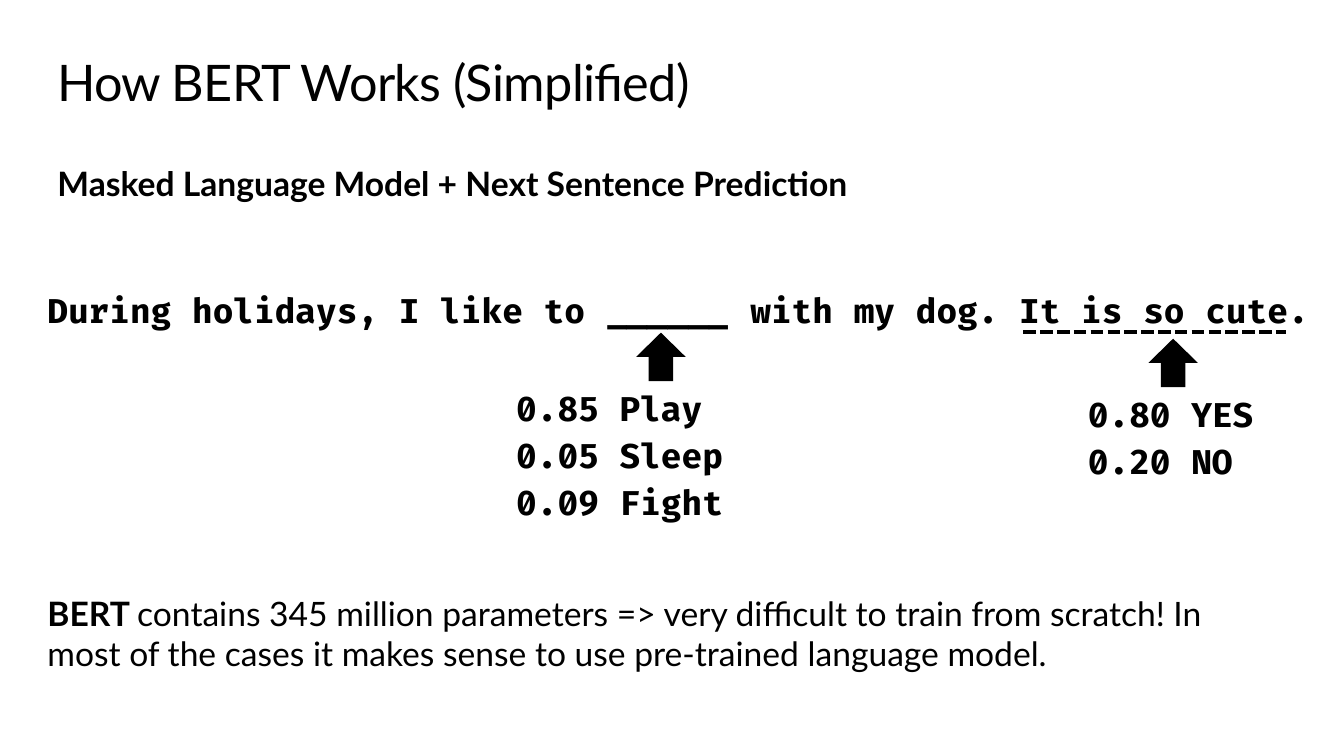
from lxml.etree import SubElement
from pptx import Presentation
from pptx.dml.color import RGBColor
from pptx.enum.dml import MSO_LINE
from pptx.enum.shapes import MSO_CONNECTOR, MSO_SHAPE
from pptx.enum.text import MSO_AUTO_SIZE
from pptx.oxml.ns import qn
from pptx.util import Inches, Pt

WIDTH, HEIGHT = 13.33, 7.5
MARGIN = 0.47
BLACK = "000000"
PROSE, CODE = "Lato", "Fira Code"
BODY_SIZE = 24
ARROW_WIDTH, ARROW_HEIGHT = 0.49, 0.48
ARROW_TO_SCORES = 0.55
SCORE_WIDTH, SCORE_PITCH = 2.39, 0.46


def color(hex_code):
    return RGBColor.from_string(hex_code)


def add_text(slide, left, top, width, height, lines, font=PROSE, size=BODY_SIZE,
             inset=(0, 0), tracking=0):
    """Each line is a list of (words, bold) runs; inset is (left, top)."""
    frame = slide.shapes.add_textbox(
        Inches(left), Inches(top), Inches(width), Inches(height)).text_frame
    frame.word_wrap = True
    frame.auto_size = MSO_AUTO_SIZE.NONE
    frame.margin_left, frame.margin_top = map(Inches, inset)
    frame.margin_right = frame.margin_bottom = 0
    for index, runs in enumerate(lines):
        paragraph = frame.add_paragraph() if index else frame.paragraphs[0]
        paragraph.space_before = Pt(0.2 * size if index else 0)
        for words, bold in runs:
            run = paragraph.add_run()
            run.text = words
            run.font.name = font
            run.font.size = Pt(size)
            run.font.bold = bold
            run.font.color.rgb = color(BLACK)
            if tracking:
                run.font._element.set("spc", str(int(tracking * 100)))


def add_dashed_underline(slide, left, right, y):
    underline = slide.shapes.add_connector(
        MSO_CONNECTOR.STRAIGHT, Inches(left), Inches(y), Inches(right), Inches(y))
    underline.line.color.rgb = color(BLACK)
    underline.line.width = Pt(3)
    underline.line.dash_style = MSO_LINE.SQUARE_DOT
    SubElement(underline._element.spPr, qn("a:effectLst"))


def add_prediction(slide, arrow_left, arrow_top, scores_left, scores):
    """Up arrow with the scored candidates listed beneath it."""
    arrow = slide.shapes.add_shape(
        MSO_SHAPE.UP_ARROW, Inches(arrow_left), Inches(arrow_top),
        Inches(ARROW_WIDTH), Inches(ARROW_HEIGHT))
    arrow.shadow.inherit = False
    arrow.fill.solid()
    arrow.fill.fore_color.rgb = color(BLACK)
    arrow.line.fill.background()
    add_text(slide, scores_left, arrow_top + ARROW_TO_SCORES,
             SCORE_WIDTH, SCORE_PITCH * len(scores),
             [[(score, True)] for score in scores], CODE)


def main():
    deck = Presentation()
    deck.slide_width, deck.slide_height = Inches(WIDTH), Inches(HEIGHT)
    slide = deck.slides.add_slide(deck.slide_layouts[6])
    full_width = WIDTH - 2 * MARGIN

    add_text(slide, MARGIN, 0.33, full_width, 0.83,
             [[("How BERT Works (Simplified)", False)]],
             size=36, inset=(0.1, 0.18), tracking=-0.5)
    add_text(slide, MARGIN + 0.1, 1.62, 0.7 * WIDTH, 0.4,
             [[("Masked Language Model + Next Sentence Prediction", True)]])
    add_text(slide, MARGIN, 2.88, 12.63, 0.4,
             [[("During holidays, I like to ______ with my dog. It is so cute.", True)]],
             CODE)
    add_dashed_underline(slide, 10.15, 12.75, 3.29)
    add_prediction(slide, 6.31, 3.3, 5.12, ["0.85 Play", "0.05 Sleep", "0.09 Fight"])
    add_prediction(slide, 11.39, 3.36, 10.79, ["0.80 YES", "0.20 NO"])
    add_text(slide, MARGIN, 5.88, 11.89, 0.81,
             [[("BERT ", True),
               ("contains 345 million parameters => very difficult to train from "
                "scratch! In most of the cases it makes sense to use pre-trained "
                "language model.", False)]])
    deck.save("out.pptx")


if __name__ == "__main__":
    main()
